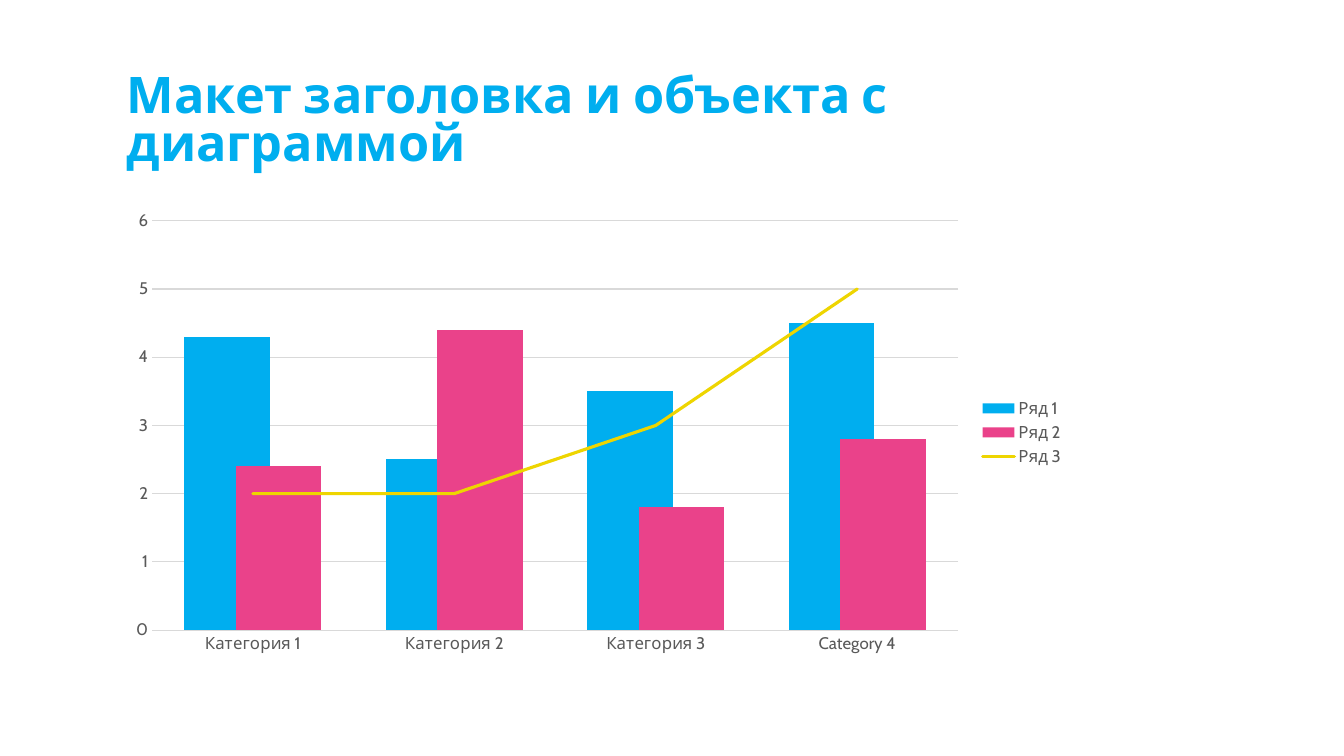
"""Build a slide with a title and a combined column and line chart."""
from copy import deepcopy
from lxml.etree import SubElement
from pptx import Presentation
from pptx.chart.data import CategoryChartData as Data
from pptx.dml.color import RGBColor
from pptx.enum.chart import XL_CHART_TYPE as Kind, XL_LEGEND_POSITION as Spot
from pptx.enum.chart import XL_MARKER_STYLE as Mark, XL_TICK_MARK as Tick
from pptx.enum.text import MSO_ANCHOR as Anchor
from pptx.oxml.ns import qn
from pptx.util import Inches, Pt

FONT = "Cabin"
BLUE = RGBColor(0x00, 0xAE, 0xEF)
PINK = RGBColor(0xEA, 0x42, 0x8A)
GOLD = RGBColor(0xEE, 0xD5, 0x00)
GREY = RGBColor(0x59, 0x59, 0x59)
PALE = RGBColor(0xD9, 0xD9, 0xD9)


def style(font, size, color):
    font.name, font.size = FONT, Pt(size)
    font.color.rgb = color


def rule(line, color, width):
    line.color.rgb = color
    line.width = Pt(width)


deck = Presentation()
deck.slide_width, deck.slide_height = Inches(13.33), Inches(7.5)
slide = deck.slides.add_slide(deck.slide_layouts[6])
left, wide = Inches(1.16), Inches(9.5)

box = slide.shapes.add_textbox(left, Inches(0.58), wide, Inches(1.17))
frame = box.text_frame
frame.word_wrap = True
frame.vertical_anchor = Anchor.BOTTOM
para = frame.paragraphs[0]
para.line_spacing = 0.8
run = para.add_run()
run.text = "Макет заголовка и объекта с диаграммой"
style(run.font, 36, BLUE)
run.font.bold = True

data = Data()
data.categories = ["Категория 1", "Категория 2", "Категория 3", "Category 4"]
data.add_series("Ряд 1", (4.3, 2.5, 3.5, 4.5))
data.add_series("Ряд 2", (2.4, 4.4, 1.8, 2.8))
data.add_series("Ряд 3", (2, 2, 3, 5))
chart = slide.shapes.add_chart(
    Kind.COLUMN_CLUSTERED, left, Inches(2), wide, Inches(4.58), data).chart
chart.has_title = False
style(chart.font, 12, GREY)
chart.has_legend = True
chart.legend.position = Spot.RIGHT
chart.legend.include_in_layout = False
style(chart.legend.font, 12, GREY)

for axis in (chart.category_axis, chart.value_axis):
    axis.major_tick_mark = axis.minor_tick_mark = Tick.NONE
    style(axis.tick_labels.font, 12, GREY)
rule(chart.category_axis.format.line, PALE, 0.75)
scale = chart.value_axis
scale.minimum_scale, scale.maximum_scale, scale.major_unit = 0, 6, 1
scale.format.line.fill.background()
rule(scale.major_gridlines.format.line, PALE, 0.75)

plot = chart.plots[0]
plot.gap_width, plot.overlap = 75, 40
plot.vary_by_categories = False
first, second, third = plot.series
for bar, color in ((first, BLUE), (second, PINK)):
    bar.format.fill.solid()
    bar.format.fill.fore_color.rgb = color

trend = third._element
bars = trend.getparent()
for flag in trend.findall(qn("c:invertIfNegative")):
    trend.remove(flag)
lines = bars.makeelement(qn("c:lineChart"))
bars.addnext(lines)
SubElement(lines, qn("c:grouping")).set("val", "standard")
SubElement(lines, qn("c:varyColors")).set("val", "0")
lines.append(trend)
SubElement(lines, qn("c:marker")).set("val", "1")
for link in bars.findall(qn("c:axId")):
    lines.append(deepcopy(link))

curve = chart.plots[1].series[0]
curve.smooth = False
curve.marker.style = Mark.NONE
rule(curve.format.line, GOLD, 2.25)
curve.format.line._get_or_add_ln().set("cap", "rnd")

deck.save("out.pptx")
